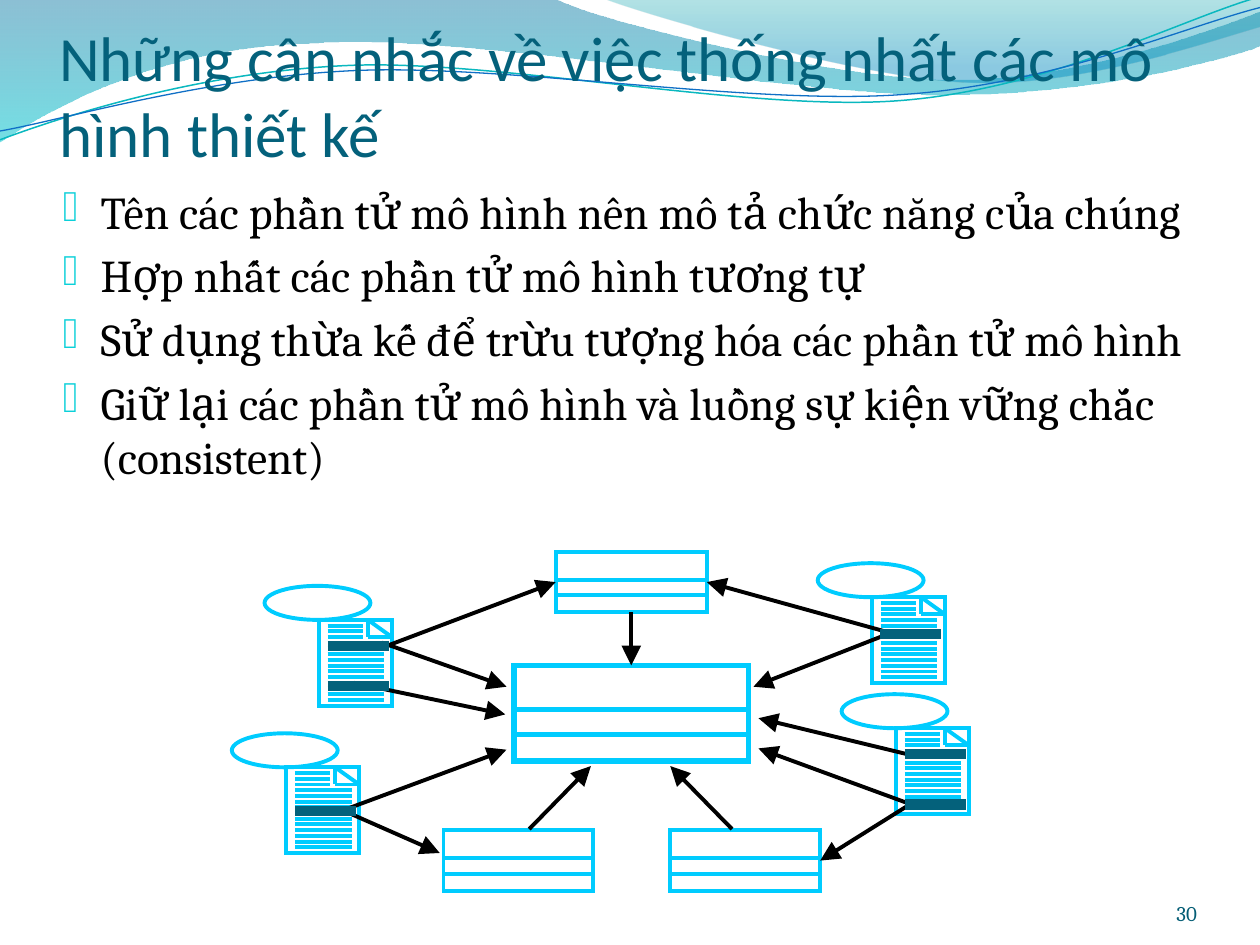
from lxml import etree
from pptx import Presentation
from pptx.dml.color import RGBColor
from pptx.enum.shapes import MSO_CONNECTOR, MSO_SHAPE
from pptx.enum.text import MSO_ANCHOR, MSO_AUTO_SIZE, PP_ALIGN
from pptx.oxml.ns import qn
from pptx.util import Inches, Pt

STRAIGHT = MSO_CONNECTOR.STRAIGHT
RECTANGLE, OVAL = MSO_SHAPE.RECTANGLE, MSO_SHAPE.OVAL
BOTTOM, TOP = MSO_ANCHOR.BOTTOM, MSO_ANCHOR.TOP
LEFT, RIGHT = PP_ALIGN.LEFT, PP_ALIGN.RIGHT
NO_FIT = MSO_AUTO_SIZE.NONE
CYAN, TEAL, BLACK = "00CCFF", "04617B", "000000"
CLASS_DIVIDERS = (0.46, 0.72)
DOC_WIDTH, DOC_HEIGHT, DOC_ROWS = 0.58, 0.68, 15

TITLE = "Những cân nhắc về việc thống nhất các mô hình thiết kế"
BULLETS = (
    "Tên các phần tử mô hình nên mô tả chức năng của chúng",
    "Hợp nhất các phần tử mô hình tương tự",
    "Sử dụng thừa kế để trừu tượng hóa các phần tử mô hình",
    "Giữ lại các phần tử mô hình và luồng sự kiện vững chắc (consistent)",
)
LEFT_WAVE = [
    (0, 0), (4.4, -0.01), (4.76, 0.17, 6.64, 0.63, 7.58, 0.63),
    (8.53, 0.63, 9.58, 0.26, 10, 0.09), (10.01, 0.36),
    (9.83, 0.44, 8.7, 0.76, 7.46, 0.75), (6.22, 0.75, 3.82, 0.28, 2.57, 0.34),
    (1.29, 0.36, 0.46, 0.83, -0.01, 1.13),
]
RIGHT_WAVE = [
    (4.79, -0.01), (5.09, 0.11, 6.82, 0.62, 7.69, 0.65),
    (8.56, 0.69, 9.61, 0.32, 10, 0.21), (10, 0),
]
GREEN_CURVE = [
    (0, 1.11), (0.48, 0.93, 1.58, 0.57, 2.77, 0.52),
    (3.95, 0.47, 5.93, 0.89, 7.13, 0.8), (8.33, 0.71, 9.38, 0.15, 9.98, -0.02),
]
BLUE_CURVE = [
    (0, 1.04), (0.47, 0.96, 1.64, 0.61, 2.83, 0.56),
    (4.03, 0.51, 5.97, 0.84, 7.17, 0.75), (8.36, 0.67, 9.41, 0.21, 10, 0.06),
]
DOCUMENTS = ((1.84, 5.82), (2.1, 4.65), (6.68, 5.51), (6.49, 4.47))
MARKED_ROWS = ((2.62, 5.1), (2.62, 5.42), (2.36, 6.41),
               (7.2, 6.36), (7.2, 5.96), (7, 5.01))
FREE_ARROWS = (
    (2.78, 6.41, 4.02, 5.95), (2.81, 5.42, 4.01, 5.67), (7.26, 6, 6.02, 5.7),
    (7.22, 6.38, 6.02, 5.94), (3.03, 5.1, 4.02, 5.45), (7, 5.05, 5.98, 5.45),
    (2.74, 6.44, 3.49, 6.77), (5.81, 6.58, 5.32, 6.08), (4.2, 6.58, 4.69, 6.08),
)


def color(hex_text):
    """Turn a hex string into a colour."""
    return RGBColor.from_string(hex_text)


def inches(*lengths):
    """Convert several lengths from inches."""
    return [Inches(length) for length in lengths]


def style_line(item, hex_text, width):
    """Set the line colour and width of a shape or connector."""
    item.line.color.rgb = color(hex_text)
    item.line.width = Pt(width)


def add_outline(page, outline, close):
    """Build a freeform of corners (x, y) and cubic curves (six lengths)."""
    builder = page.shapes.build_freeform(*inches(*outline[0]))
    builder.add_line_segments([inches(*step[-2:]) for step in outline[1:]], close=close)
    shape = builder.convert_to_shape()
    shape.shadow.inherit = False
    segments = list(shape._element.spPr.iter(qn("a:lnTo")))
    for segment, step in zip(segments, outline[1:]):
        if len(step) == 6:
            curve = etree.Element(qn("a:cubicBezTo"))
            for x, y in zip(step[::2], step[1::2]):
                etree.SubElement(curve, qn("a:pt"), x=str(Inches(x) - shape.left),
                                 y=str(Inches(y) - shape.top))
            segment.getparent().replace(segment, curve)
    return shape


def add_wave(page, outline, stops):
    """Add a wave with a see-through gradient from top to bottom."""
    wave = add_outline(page, outline, True)
    wave.line.fill.background()
    wave.fill.gradient()
    wave.fill.gradient_angle = 270
    for stop, (position, hex_text, _) in zip(wave.fill.gradient_stops, stops):
        stop.position = position
        stop.color.rgb = color(hex_text)
    tones = wave._element.spPr.iter(qn("a:srgbClr"))
    for tone, (_, _, opacity) in zip(list(tones), stops):
        etree.SubElement(tone, qn("a:alpha"), val=str(opacity * 1000))


def add_curve(page, outline, hex_text, width):
    """Add an open curved line."""
    curve = add_outline(page, outline, False)
    curve.fill.background()
    style_line(curve, hex_text, width)


def add_box(parent, kind, place, hex_text, width, fill=None):
    """Add a sharp-cornered outlined shape, hollow unless a fill is given."""
    box = parent.shapes.add_shape(kind, *inches(*place))
    box.shadow.inherit = False
    style_line(box, hex_text, width)
    etree.SubElement(box.line._get_or_add_ln(), qn("a:miter"), lim="800000")
    if fill:
        box.fill.solid()
        box.fill.fore_color.rgb = color(fill)
    else:
        box.fill.background()
    return box


def add_line(parent, ends, hex_text=CYAN, width=2.25):
    """Add a straight line without a shadow."""
    line = parent.shapes.add_connector(STRAIGHT, *inches(*ends))
    style_line(line, hex_text, width)
    etree.SubElement(line._element.spPr, qn("a:effectLst"))
    return line


def add_arrow(page, ends, begin=None, end=None):
    """Add a black arrow, joined to (box, side) pairs where given."""
    arrow = add_line(page, ends, BLACK)
    if begin:
        arrow.begin_connect(*begin)
    if end:
        arrow.end_connect(*end)
    etree.SubElement(arrow.line._get_or_add_ln(), qn("a:tailEnd"),
                     type="triangle", w="lg", len="lg")


def add_class(page, place, width=2.25):
    """Add a class box of three compartments and return its frame."""
    group = page.shapes.add_group_shape()
    frame = add_box(group, RECTANGLE, place, CYAN, width)
    left, top, across, height = place
    for share in CLASS_DIVIDERS:
        y = top + share * height
        add_line(group, (left, y, left + across, y), width=width)
    return frame


def add_document(page, left, top):
    """Add a use case oval with its ruled, dog-eared document."""
    group = page.shapes.add_group_shape()
    add_box(group, OVAL, (left, top, 0.84, 0.27), CYAN, 2.25)
    left, top = left + 0.43, top + 0.27
    add_box(group, RECTANGLE, (left, top, DOC_WIDTH, DOC_HEIGHT), CYAN, 2.25)
    row = DOC_HEIGHT / DOC_ROWS
    fold, edge, crease = left + 0.39, left + DOC_WIDTH, top + 3 * row
    for ends in ((fold, top, edge, crease), (fold, top, fold, crease),
                 (edge, crease, fold, crease)):
        add_line(group, ends)
    for index in range(1, DOC_ROWS):
        length = 0.28 if index <= 3 else 0.45
        y = top + index * row
        add_line(group, (left + 0.07, y, left + 0.07 + length, y))


def format_para(para, text, font, size, hex_text, align=LEFT):
    """Fill a paragraph and set its font."""
    para.text = text
    para.alignment = align
    para.font.name, para.font.size = font, Pt(size)
    para.font.color.rgb = color(hex_text)


def format_frame(box, place, anchor, margins):
    """Place a text box and set its wrapping, anchor and margins."""
    box.left, box.top, box.width, box.height = inches(*place)
    frame = box.text_frame
    frame.word_wrap, frame.auto_size, frame.vertical_anchor = True, NO_FIT, anchor
    (frame.margin_left, frame.margin_top,
     frame.margin_right, frame.margin_bottom) = inches(*margins)
    return frame


def add_text(page, place, anchor, margins):
    """Add a text box and return its frame."""
    return format_frame(page.shapes.add_textbox(0, 0, 0, 0), place, anchor, margins)


def add_bullets(page):
    """Add the bulleted list."""
    frame = add_text(page, (0.4, 1.41, 9.28, 3.35), TOP, (0.1, 0.05, 0.1, 0.05))
    for index, text in enumerate(BULLETS):
        para = frame.add_paragraph() if index else frame.paragraphs[0]
        para.space_before = Pt(5.2)
        props = para._p.get_or_add_pPr()
        props.set("marL", str(Inches(0.3)))
        props.set("indent", str(-Inches(0.3)))
        tint = etree.SubElement(props, qn("a:buClr"))
        etree.SubElement(tint, qn("a:srgbClr"), val="0BD0D9")
        etree.SubElement(props, qn("a:buSzPct"), val="95000")
        etree.SubElement(props, qn("a:buFont"), typeface="Wingdings 2", charset="2")
        etree.SubElement(props, qn("a:buChar"), char="●")
        format_para(para, text, "Cambria", 26, BLACK)


def add_diagram(page):
    """Add the documents, the classes and the arrows between them."""
    main_class = add_class(page, (4.08, 5.28, 1.86, 0.76), 3)
    top_class = add_class(page, (4.41, 4.38, 1.2, 0.48))
    add_class(page, (3.52, 6.59, 1.19, 0.48))
    right_class = add_class(page, (5.32, 6.59, 1.19, 0.48))
    for left, top in DOCUMENTS:
        add_document(page, left, top)
    for ends in FREE_ARROWS:
        add_arrow(page, ends)
    add_arrow(page, (7.26, 6.36, 6.51, 6.81), end=(right_class, 3))
    add_arrow(page, (3.06, 5.13, 4.42, 4.61), end=(top_class, 1))
    add_arrow(page, (7.02, 5.01, 5.61, 4.6), end=(top_class, 3))
    add_arrow(page, (5.01, 4.87, 5.01, 5.28), (top_class, 2), (main_class, 0))
    for left, top in MARKED_ROWS:
        add_box(page, RECTANGLE, (left, top, 0.45, 0.05), TEAL, 2.25, TEAL)


def main():
    """Build the slide and save it."""
    deck = Presentation()
    deck.slide_width, deck.slide_height = inches(10, 7.5)
    page = deck.slides.add_slide(deck.slide_layouts[5])
    add_wave(page, LEFT_WAVE, ((0, "0074A1", 45), (1, "00C6CF", 55)))
    add_wave(page, RIGHT_WAVE, ((0, "00A1A9", 30), (0.8, "008BBF", 45)))
    add_curve(page, GREEN_CURVE, "0AB8BF", 0.85)
    add_curve(page, BLUE_CURVE, "0F6FC6", 0.75)
    title = page.shapes.title
    page.shapes._spTree.append(title._element)
    frame = format_frame(title, (0.47, 0.1, 9, 1.25), BOTTOM, (0, 0.05, 0, 0))
    format_para(frame.paragraphs[0], TITLE, "Calibri", 36, TEAL)
    add_bullets(page)
    number = add_text(page, (8.67, 6.95, 0.83, 0.4), BOTTOM, (0, 0, 0, 0))
    format_para(number.paragraphs[0], "30", "Cambria", 12, "045D75", RIGHT)
    add_diagram(page)
    deck.save("out.pptx")


if __name__ == "__main__":
    main()
